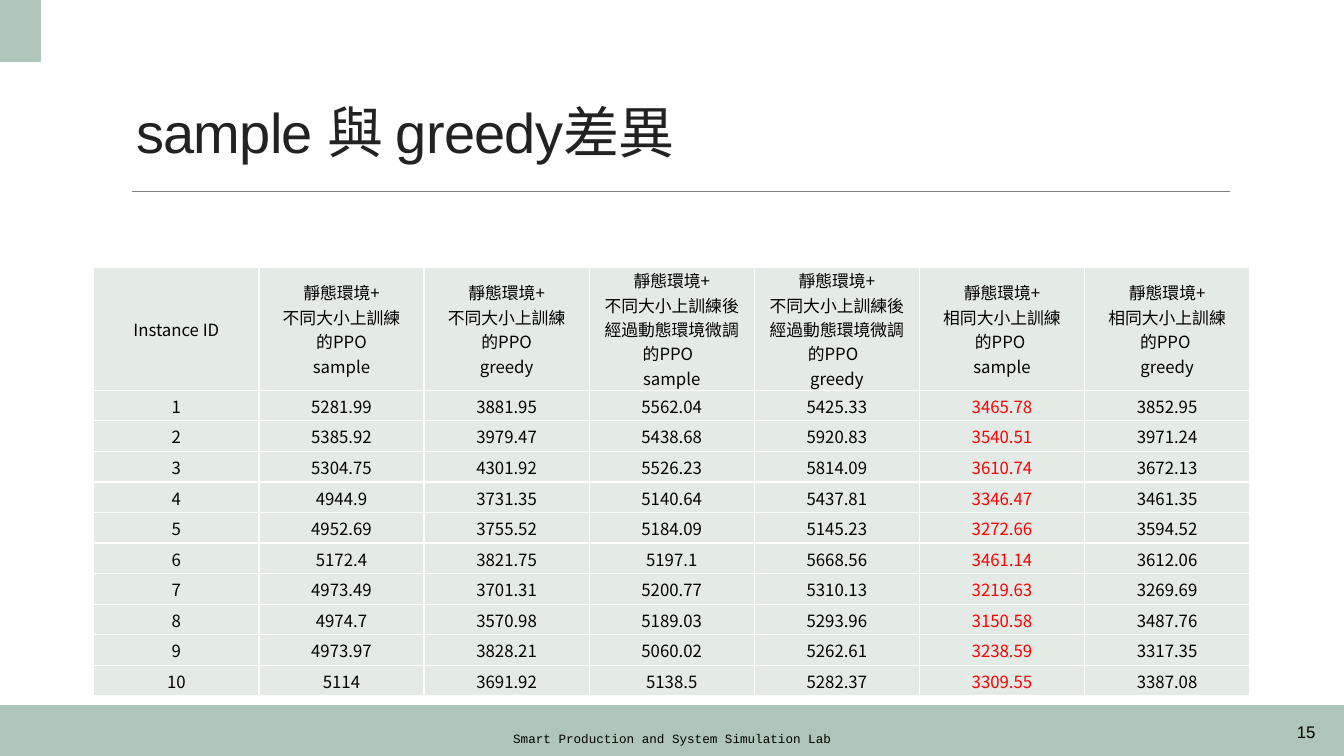
from dataclasses import dataclass

from lxml import etree
from pptx import Presentation
from pptx import util as u
from pptx.dml import color
from pptx.enum import shapes, text
from pptx.oxml import ns

Pt = u.Pt
PP = text.PP_ALIGN
MID = text.MSO_ANCHOR.MIDDLE


@dataclass(frozen=True)
class Theme:
    # Colours
    sage: str = "AFC5B9"
    pale: str = "E4EBE7"
    rule: str = "808080"
    dark: str = "222222"
    black: str = "000000"
    white: str = "FFFFFF"
    red: str = "FF0000"
    # Type
    sans: str = "Arial"
    mono: str = "Courier New"
    cjk: str = "Noto Sans CJK SC"
    head: int = 40
    body: int = 12
    foot: int = 9


T = Theme()

# Table content
STATIC = "靜態環境+"
MIXED = [STATIC, "不同大小上訓練", "的PPO"]
TUNED = [STATIC, "不同大小上訓練後", "經過動態環境微調", "的PPO  "]
SAME = [STATIC, "相同大小上訓練", "的PPO "]
HEADS = ["Instance ID"] + [
    "\n".join(lines + [mode])
    for lines in (MIXED, TUNED, SAME) for mode in ("sample", "greedy")]
SCORES = [
    (5281.99, 3881.95, 5562.04, 5425.33, 3465.78, 3852.95),
    (5385.92, 3979.47, 5438.68, 5920.83, 3540.51, 3971.24),
    (5304.75, 4301.92, 5526.23, 5814.09, 3610.74, 3672.13),
    (4944.9, 3731.35, 5140.64, 5437.81, 3346.47, 3461.35),
    (4952.69, 3755.52, 5184.09, 5145.23, 3272.66, 3594.52),
    (5172.4, 3821.75, 5197.1, 5668.56, 3461.14, 3612.06),
    (4973.49, 3701.31, 5200.77, 5310.13, 3219.63, 3269.69),
    (4974.7, 3570.98, 5189.03, 5293.96, 3150.58, 3487.76),
    (4973.97, 3828.21, 5060.02, 5262.61, 3238.59, 3317.35),
    (5114, 3691.92, 5138.5, 5282.37, 3309.55, 3387.08),
]
BEST = 5  # column of the lowest scores


def rgb(code):
    return color.RGBColor.from_string(code)


def apply(obj, form):
    for key, val in form.items():
        setattr(obj, key, val)


def write(frame, words, face, size, ink, **form):
    """Fill a text frame, one paragraph a line."""
    frame.text = words
    for par in frame.paragraphs:
        apply(par, form)
        for run in par.runs:
            apply(run.font, {"name": face, "size": Pt(size), "bold": False})
            run.font.color.rgb = rgb(ink)
            east = etree.SubElement(run.font._element, ns.qn("a:ea"))
            east.set("typeface", T.cjk)


def block(slide, *box):
    shape = slide.shapes.add_shape(shapes.MSO_SHAPE.RECTANGLE, *map(Pt, box))
    shape.shadow.inherit = False
    shape.fill.solid()
    shape.fill.fore_color.rgb = shape.line.color.rgb = rgb(T.sage)
    shape.line.width = Pt(1.25)


def rule(slide, left, right, top):
    line = slide.shapes.add_connector(
        shapes.MSO_CONNECTOR.STRAIGHT, Pt(left), Pt(top), Pt(right), Pt(top))
    line.line.color.rgb = rgb(T.rule)
    line.line.width = Pt(0.5)
    etree.SubElement(line._element.spPr, ns.qn("a:effectLst"))


def label(slide, box, words, face, size, align):
    frame = slide.shapes.add_textbox(*map(Pt, box)).text_frame
    apply(frame, {"word_wrap": True, "vertical_anchor": MID})
    write(frame, words, face, size, T.black, alignment=align)


def title(slide, box, words):
    shape = slide.shapes.title
    apply(shape, dict(zip(("left", "top", "width", "height"), map(Pt, box))))
    frame = shape.text_frame
    apply(frame, {"word_wrap": True, "auto_size": text.MSO_AUTO_SIZE.NONE,
                  "vertical_anchor": text.MSO_ANCHOR.BOTTOM})
    write(frame, words, T.sans, T.head, T.dark,
          alignment=PP.LEFT, line_spacing=0.85)
    for run in frame.paragraphs[0].runs:
        run.font._element.set("spc", "-50")


def border(cell):
    props = cell._tc.get_or_add_tcPr()
    for spot, side in enumerate(("lnL", "lnR", "lnT", "lnB")):
        edge = etree.Element(ns.qn("a:" + side), w=str(Pt(1)))
        fill = etree.SubElement(edge, ns.qn("a:solidFill"))
        etree.SubElement(fill, ns.qn("a:srgbClr"), val=T.white)
        props.insert(spot, edge)


def grid(slide, left, top, width, rows, first, other):
    """Add a table with equal columns and a taller first row."""
    high = first + other * (len(rows) - 1)
    table = slide.shapes.add_table(
        len(rows), len(rows[0]), *map(Pt, (left, top, width, high))).table
    apply(table, {"first_row": False, "horz_banding": False})
    for num, row in enumerate(rows):
        table.rows[num].height = Pt(other if num else first)
        for col, words in enumerate(row):
            cell = table.cell(num, col)
            apply(cell, {"vertical_anchor": MID, "margin_left": Pt(0.72),
                         "margin_right": Pt(0.72), "margin_top": Pt(0.72),
                         "margin_bottom": 0})
            cell.fill.solid()
            cell.fill.fore_color.rgb = rgb(T.pale)
            border(cell)
            ink = T.red if num and col == BEST else T.black
            write(cell.text_frame, str(words), T.cjk, T.body, ink,
                  alignment=PP.CENTER)


def main():
    deck = Presentation()
    apply(deck, {"slide_width": Pt(960), "slide_height": Pt(540)})
    slide = deck.slides.add_slide(deck.slide_layouts[5])

    # Frame of the page
    block(slide, 0, 504, 960, 36)
    rule(slide, 94.5, 878.6, 136.8)
    block(slide, 0, 0, 29, 44)

    # Title and footer
    title(slide, (90.2, 78.5, 753, 43.2), "sample 與 greedy差異")
    label(slide, (290.2, 517.7, 379.5, 20),
          "Smart Production and System Simulation Lab",
          T.mono, T.foot, PP.CENTER)
    label(slide, (843.8, 508.3, 103, 28.8), "15", T.sans, T.body, PP.RIGHT)

    # Score table: the first row holds five lines
    rows = [HEADS] + [(num, *row) for num, row in enumerate(SCORES, 1)]
    grid(slide, 67, 190.8, 825.8, rows, 88, 21.85)

    deck.save("out.pptx")


if __name__ == "__main__":
    main()
